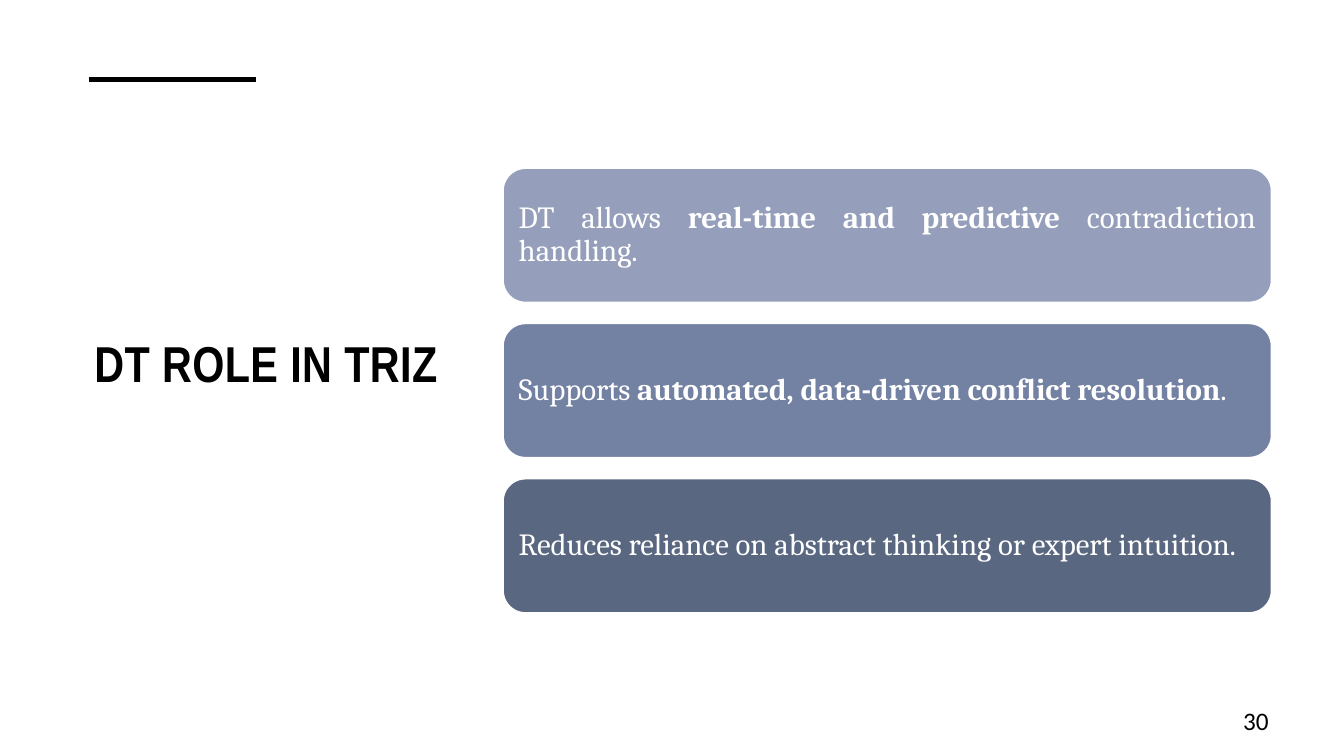
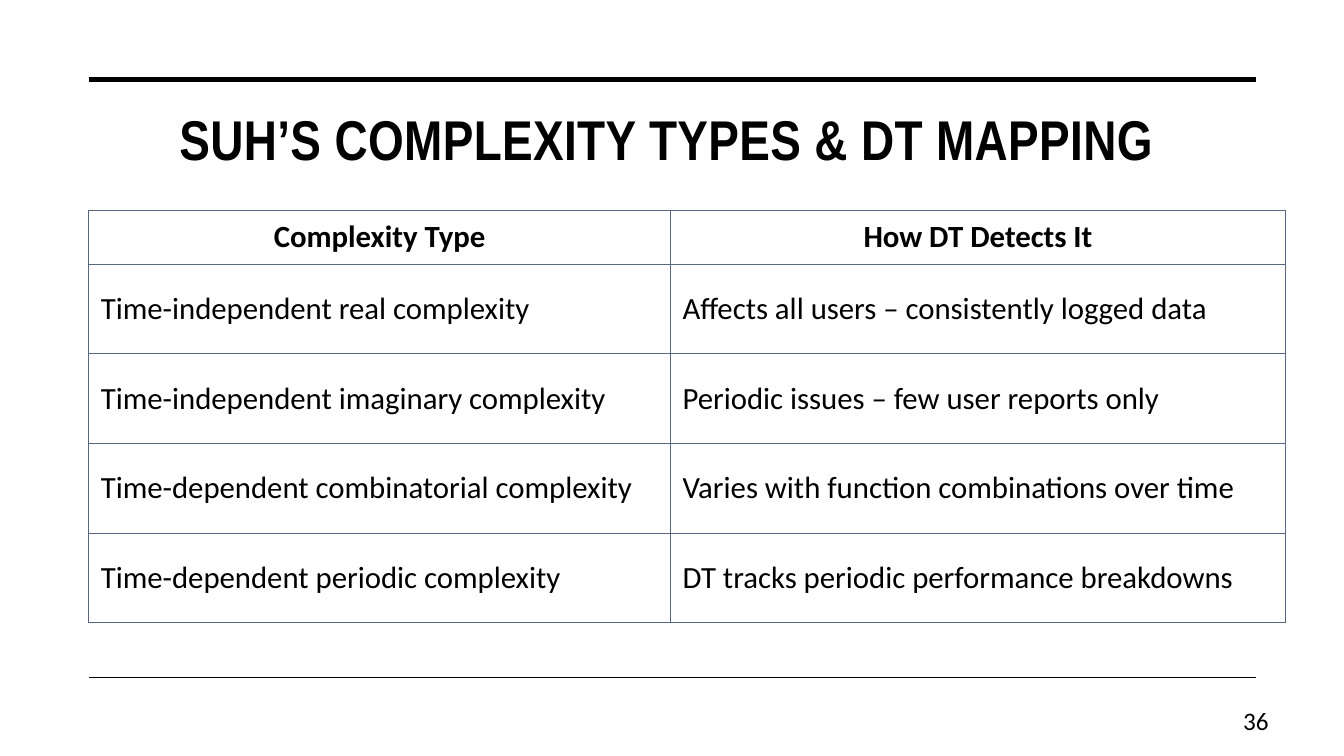
"""Build two slides on digital twins: their role in TRIZ and complexity mapping."""
from lxml import etree
from pptx import Presentation
from pptx.dml.color import RGBColor
from pptx.enum.shapes import MSO_CONNECTOR, MSO_SHAPE
from pptx.enum.text import MSO_ANCHOR, PP_ALIGN
from pptx.oxml.ns import qn
from pptx.util import Inches, Pt

STRAIGHT = MSO_CONNECTOR.STRAIGHT
ROUNDED = MSO_SHAPE.ROUNDED_RECTANGLE
TOP, MIDDLE = MSO_ANCHOR.TOP, MSO_ANCHOR.MIDDLE
LEFT, CENTER = PP_ALIGN.LEFT, PP_ALIGN.CENTER
RIGHT, JUSTIFY = PP_ALIGN.RIGHT, PP_ALIGN.JUSTIFY

BLACK, WHITE, SLATE = "000000", "FFFFFF", "596781"
MARGIN_LEFT, RULE_TOP, RULE_BOTTOM, RULE_RIGHT = 0.88, 0.79, 6.72, 12.46


def rgb(value):
    return RGBColor.from_string(value)


def apply(target, values):
    for name, value in values.items():
        setattr(target, name, value)


class Deck:
    TITLE = {"name": "Arial Narrow", "bold": True}
    CARD = {"name": "Cambria", "size": Pt(22)}
    CELL = {"name": "Calibri", "size": Pt(22)}
    NUMBER = {"name": "Calibri", "size": Pt(18)}
    CARD_FRAME = {"word_wrap": True, "vertical_anchor": MIDDLE,
                  "margin_left": Inches(0.09), "margin_right": Inches(0.09),
                  "margin_top": Inches(0.09), "margin_bottom": Inches(0.09)}
    CELL_FRAME = {"vertical_anchor": MIDDLE,
                  "margin_left": Inches(0.12), "margin_right": Inches(0.12),
                  "margin_top": Inches(0.06), "margin_bottom": Inches(0.06)}

    def __init__(self):
        self.presentation = Presentation()
        apply(self.presentation, {"slide_width": Inches(13.33),
                                  "slide_height": Inches(7.5)})
        self.slide = None

    def new_slide(self, number):
        layout = self.presentation.slide_layouts[6]
        self.slide = self.presentation.slides.add_slide(layout)
        self.text((11.94, 6.95, 0.74, 0.4), number, self.NUMBER, RIGHT, MIDDLE)

    def add_runs(self, paragraph, pieces, font, color, align):
        paragraph.alignment = align
        for words, bold in pieces:
            run = paragraph.add_run()
            run.text = words
            apply(run.font, {"bold": bold, **font})
            run.font.color.rgb = rgb(color)

    def text(self, box, words, font, align, anchor):
        frame = self.slide.shapes.add_textbox(*map(Inches, box)).text_frame
        apply(frame, {"word_wrap": True, "vertical_anchor": anchor})
        paragraph = frame.paragraphs[0]
        self.add_runs(paragraph, [(words, False)], font, BLACK, align)
        return paragraph.runs[0]

    def title(self, box, words, size):
        font = {**self.TITLE, "size": Pt(size)}
        run = self.text(box, words, font, CENTER, TOP)
        run._r.get_or_add_rPr().set("spc", "30")

    def rule(self, y, right, weight):
        line = self.slide.shapes.add_connector(
            STRAIGHT, Inches(MARGIN_LEFT), Inches(y), Inches(right), Inches(y))
        line.line.color.rgb = rgb(BLACK)
        line.line.width = Pt(weight)
        etree.SubElement(line._element.spPr, qn("a:effectLst"))

    def card(self, box, color, pieces):
        card = self.slide.shapes.add_shape(ROUNDED, *map(Inches, box))
        card.shadow.inherit = False
        card.fill.solid()
        card.fill.fore_color.rgb = rgb(color)
        card.line.color.rgb = rgb(WHITE)
        card.line.width = Pt(1)
        apply(card.text_frame, self.CARD_FRAME)
        paragraph = card.text_frame.paragraphs[0]
        paragraph.line_spacing = 0.9
        self.add_runs(paragraph, pieces, self.CARD, WHITE, JUSTIFY)

    def borders(self, cell, color):
        properties = cell._tc.get_or_add_tcPr()
        for side in ("lnL", "lnR", "lnT", "lnB"):
            edge = etree.SubElement(properties, qn(f"a:{side}"), w=str(Pt(1)))
            fill = etree.SubElement(edge, qn("a:solidFill"))
            etree.SubElement(fill, qn("a:srgbClr"), val=color)

    def table(self, left, top, widths, heights, rows):
        box = (left, top, sum(widths), sum(heights))
        table = self.slide.shapes.add_table(
            len(rows), len(widths), *map(Inches, box)).table
        apply(table, {"first_row": False, "horz_banding": False})
        for column, width in zip(table.columns, widths):
            column.width = Inches(width)
        for index, (row, height) in enumerate(zip(table.rows, heights)):
            row.height = Inches(height)
            header = index == 0
            for cell, words in zip(row.cells, rows[index]):
                apply(cell, self.CELL_FRAME)
                self.borders(cell, SLATE)
                cell.fill.background()
                self.add_runs(cell.text_frame.paragraphs[0], [(words, header)],
                              self.CELL, BLACK, CENTER if header else LEFT)


def role_slide(deck):
    deck.new_slide("30")
    deck.title((0.5, 3.25, 4.28, 1), "DT ROLE IN TRIZ", 36)
    deck.rule(RULE_TOP, 2.54, 3.5)
    roles = [
        ("959EBB", [("DT allows ", False), ("real-time and predictive", True),
                    (" contradiction handling.", False)]),
        ("7381A2", [("Supports ", False),
                    ("automated, data-driven conflict resolution", True),
                    (".", False)]),
        (SLATE, [("Reduces reliance on abstract thinking or expert intuition.",
                  False)]),
    ]
    height, gap = 1.33, 0.21
    for index, (color, pieces) in enumerate(roles):
        top = 1.67 + index * (height + gap)
        deck.card((4.99, top, 7.62, height), color, pieces)


def mapping_slide(deck):
    deck.new_slide("36")
    deck.title((0.77, 0.99, 11.69, 1.26),
               "SUH’S COMPLEXITY TYPES & DT MAPPING", 40)
    deck.rule(RULE_TOP, RULE_RIGHT, 3.5)
    deck.rule(RULE_BOTTOM, RULE_RIGHT, 1)
    mapping = [
        ("Complexity Type", "How DT Detects It"),
        ("Time-independent real complexity",
         "Affects all users – consistently logged data"),
        ("Time-independent imaginary complexity",
         "Periodic issues – few user reports only"),
        ("Time-dependent combinatorial complexity",
         "Varies with function combinations over time"),
        ("Time-dependent periodic complexity",
         "DT tracks periodic performance breakdowns"),
    ]
    deck.table(MARGIN_LEFT, 2.09, [5.77, 6.1], [0.53] + [0.89] * 4, mapping)


def main():
    deck = Deck()
    role_slide(deck)
    mapping_slide(deck)
    deck.presentation.save("out.pptx")


if __name__ == "__main__":
    main()
